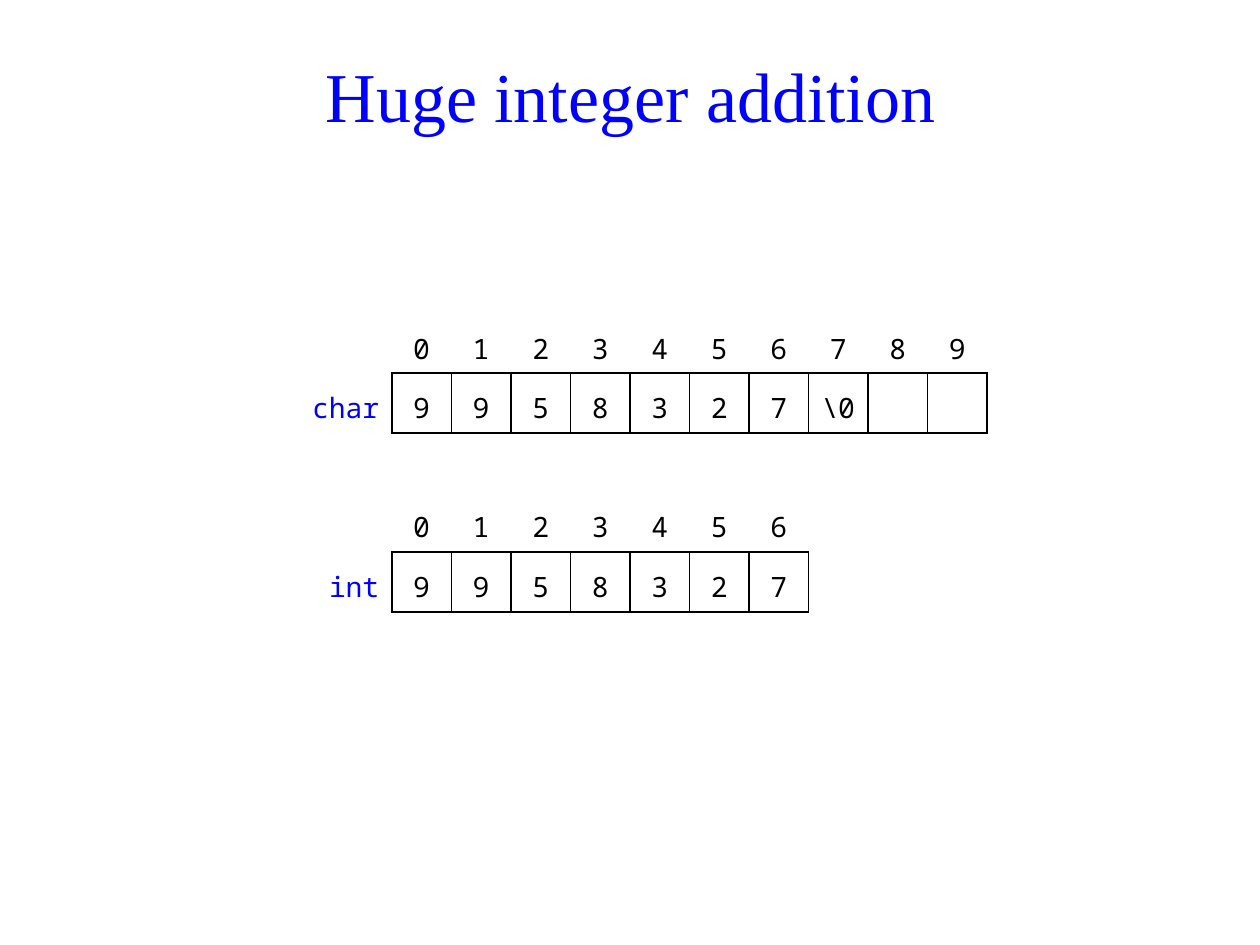
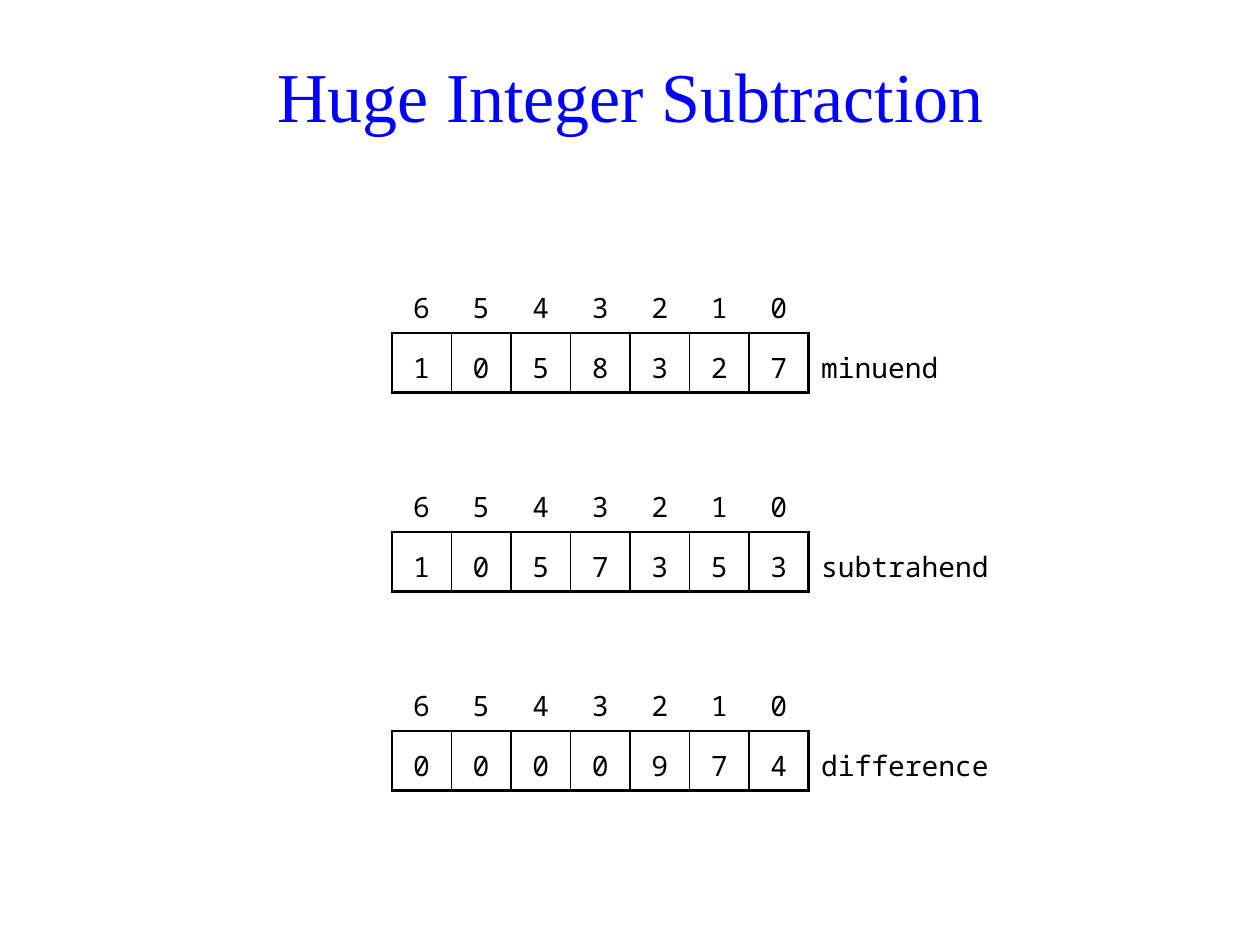
from dataclasses import dataclass

from lxml.etree import SubElement
from pptx import Presentation
from pptx.dml.color import RGBColor
from pptx.enum.text import MSO_ANCHOR, PP_ALIGN
from pptx.oxml.ns import qn
from pptx.util import Inches, Pt


@dataclass(frozen=True)
class Theme:
    blue: str = "0000FF"
    black: str = "000000"
    title_font: str = "Times New Roman"
    code_font: str = "Noto Sans Mono"
    title_size: int = 40
    code_size: int = 16
    line_spacing: float = 1.25
    outer_line: float = 1.5
    inner_line: float = 1.0


@dataclass(frozen=True)
class DigitArray:
    label: str
    values: tuple[str, ...]
    top: float
    label_width: float
    label_first: bool = False
    descending: bool = False
    last_line: float = 1.5


@dataclass(frozen=True)
class ArrayPage:
    title: str
    arrays: tuple[DigitArray, ...]


THEME = Theme()
GRID_LEFT = 3.11
CELL = 0.4725
SIDES = ("L", "R", "T", "B")

PAGES = (
    ArrayPage("Huge integer addition", (
        DigitArray("char", (*"9958327", "\\0", "", ""), 2.49, 0.94, label_first=True),
        DigitArray("int", tuple("9958327"), 3.91, 0.79, label_first=True, last_line=1.0),
    )),
    ArrayPage("Huge Integer Subtraction", (
        DigitArray("minuend", tuple("1058327"), 2.17, 1.26, descending=True),
        DigitArray("subtrahend", tuple("1057353"), 3.75, 1.57, descending=True),
        DigitArray("difference", tuple("0000974"), 5.33, 1.57, descending=True),
    )),
)


def apply(target, formats: dict) -> None:
    for name, value in formats.items():
        setattr(target, name, value)


def write(frame, text: str, font: str, size: int, color: str, formats: dict) -> None:
    para = frame.paragraphs[0]
    apply(para, formats)
    if text:
        span = para.add_run()
        span.text = text
        apply(span.font, {"name": font, "size": Pt(size)})
        span.font.color.rgb = RGBColor.from_string(color)


def add_title(page, text: str) -> None:
    box = page.shapes.add_textbox(Inches(0.28), Inches(0.28), Inches(9.45), Inches(0.94))
    apply(box.text_frame, {"word_wrap": True, "vertical_anchor": MSO_ANCHOR.MIDDLE})
    write(box.text_frame, text, THEME.title_font, THEME.title_size, THEME.blue,
          {"alignment": PP_ALIGN.CENTER})


def set_borders(cell, widths: dict[str, float]) -> None:
    properties = cell._tc.get_or_add_tcPr()
    for side in SIDES:
        width = widths.get(side, 0)
        line = SubElement(properties, qn(f"a:ln{side}"), w=str(Pt(width)))
        if width:
            fill = SubElement(line, qn("a:solidFill"))
            SubElement(fill, qn("a:srgbClr"), val=THEME.black)
        else:
            SubElement(line, qn("a:noFill"))


def fill_cell(cell, text: str, borders: dict[str, float], color: str = THEME.black,
              alignment: PP_ALIGN = PP_ALIGN.CENTER, left: float = 0, right: float = 0) -> None:
    apply(cell, {
        "margin_left": Inches(left), "margin_right": Inches(right),
        "margin_top": Inches(0.02), "margin_bottom": Inches(0.02),
        "vertical_anchor": MSO_ANCHOR.MIDDLE,
    })
    write(cell.text_frame, text, THEME.code_font, THEME.code_size, color,
          {"alignment": alignment, "line_spacing": THEME.line_spacing})
    set_borders(cell, borders)
    cell.fill.background()


def add_array(page, array: DigitArray) -> None:
    count = len(array.values)
    first = 1 if array.label_first else 0
    label_column = 0 if array.label_first else count
    left = GRID_LEFT - first * array.label_width
    width = array.label_width + count * CELL
    table = page.shapes.add_table(2, count + 1, Inches(left), Inches(array.top),
                                  Inches(width), Inches(2 * CELL)).table
    apply(table, {"first_row": False, "horz_banding": False})
    for row in table.rows:
        row.height = Inches(CELL)
    for column in table.columns:
        column.width = Inches(CELL)
    table.columns[label_column].width = Inches(array.label_width)

    lines = [THEME.outer_line] + [THEME.inner_line] * (count - 1) + [array.last_line]
    for position, value in enumerate(array.values):
        index = count - 1 - position if array.descending else position
        column = first + position
        fill_cell(table.cell(0, column), str(index), {"B": THEME.outer_line})
        fill_cell(table.cell(1, column), value, {
            "L": lines[position], "R": lines[position + 1],
            "T": THEME.outer_line, "B": THEME.outer_line,
        })

    fill_cell(table.cell(0, label_column), "", {})
    label_cell = table.cell(1, label_column)
    if array.label_first:
        fill_cell(label_cell, array.label, {"R": lines[0]}, THEME.blue,
                  PP_ALIGN.RIGHT, 0.04, 0.1)
    else:
        fill_cell(label_cell, array.label, {"L": lines[-1]}, THEME.black,
                  PP_ALIGN.LEFT, 0.1, 0.1)


def main() -> None:
    deck = Presentation()
    apply(deck, {"slide_width": Inches(10), "slide_height": Inches(7.5)})
    for content in PAGES:
        page = deck.slides.add_slide(deck.slide_layouts[6])
        add_title(page, content.title)
        for array in content.arrays:
            add_array(page, array)
    deck.save("out.pptx")


if __name__ == "__main__":
    main()
